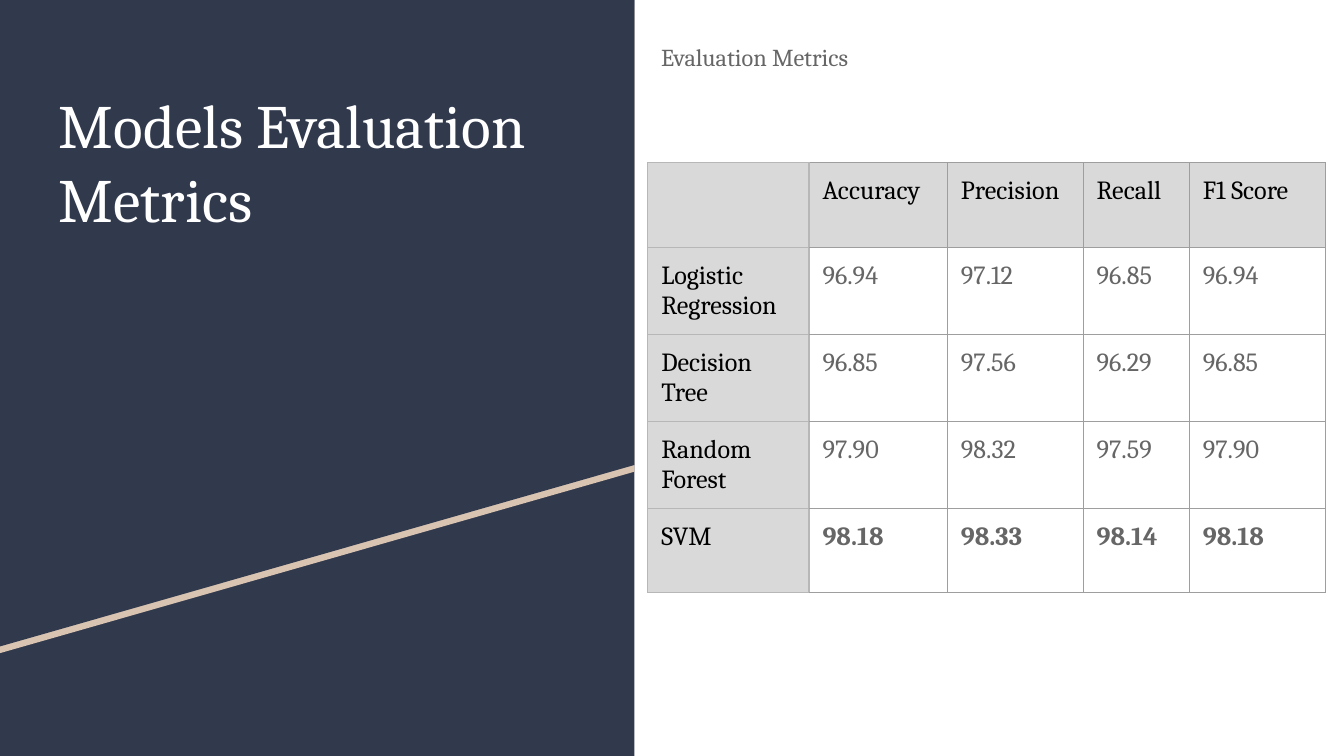
import pptx
import pptx.dml.color
import pptx.enum.shapes
import pptx.oxml
import pptx.oxml.ns
import pptx.util
from pptx.util import Inches

NAVY, SAND, WHITE, BLACK = "31394D", "D9C4B1", "FFFFFF", "000000"
GREY, HEADER_FILL = "666666", "D9D9D9"
GRID, HEADER_GRID = "9E9E9E", "B7B7B7"
WIDTH = 10
HEIGHT = WIDTH * 9 / 16


def color(value):
    return pptx.dml.color.RGBColor.from_string(value)


def write(frame, text, *, size, ink, font="Cambria", bold=False, spacing=1.0):
    """Fill a text frame, one paragraph per line of text."""
    frame.word_wrap = True
    for index, line in enumerate(text.split("\n")):
        para = frame.add_paragraph() if index else frame.paragraphs[0]
        para.line_spacing = spacing
        span = para.add_run()
        span.text = line
        span.font.size = pptx.util.Pt(size)
        span.font.name = font
        span.font.bold = bold
        span.font.color.rgb = color(ink)


class Painter:
    margin = Inches(0.1)
    border = pptx.util.Pt(0.75)

    def __init__(self, page):
        self.page = page

    def paint(self, shape, fill):
        shape.shadow.inherit = False
        shape.fill.solid()
        shape.fill.fore_color.rgb = color(fill)
        shape.line.fill.background()

    def polygon(self, points, fill):
        corners = [(Inches(x), Inches(y)) for x, y in points]
        builder = self.page.shapes.build_freeform(*corners[0], scale=1.0)
        builder.add_line_segments(corners[1:], close=True)
        self.paint(builder.convert_to_shape(), fill)

    def rectangle(self, left, top, width, height, fill):
        shape = self.page.shapes.add_shape(
            pptx.enum.shapes.MSO_SHAPE.RECTANGLE,
            Inches(left), Inches(top), Inches(width), Inches(height))
        self.paint(shape, fill)

    def text(self, left, top, width, height, text, **style):
        box = self.page.shapes.add_textbox(
            Inches(left), Inches(top), Inches(width), Inches(height))
        self.inset(box.text_frame)
        write(box.text_frame, text, **style)

    def inset(self, target):
        for side in ("left", "top", "right", "bottom"):
            setattr(target, f"margin_{side}", self.margin)

    def outline(self, cell, **sides):
        props = cell._tc.get_or_add_tcPr()
        for side in "LRTB":
            props.append(pptx.oxml.parse_xml(
                f'<a:ln{side} {pptx.oxml.ns.nsdecls("a")} w="{self.border}">'
                f'<a:solidFill><a:srgbClr val="{sides[side]}"/></a:solidFill>'
                f'</a:ln{side}>'))

    def table(self, left, top, widths, heights, rows):
        grid = self.page.shapes.add_table(
            len(rows), len(widths), Inches(left), Inches(top),
            Inches(sum(widths)), Inches(sum(heights))).table
        for column, width in zip(grid.columns, widths):
            column.width = Inches(width)
        for row, height in zip(grid.rows, heights):
            row.height = Inches(height)
        for r, values in enumerate(rows):
            for c, value in enumerate(values):
                cell = grid.cell(r, c)
                header = r == 0 or c == 0
                self.inset(cell)
                if "\n" in value:
                    # Two-line names need a tighter foot to keep rows even
                    cell.margin_bottom = Inches(0.08)
                edge = HEADER_GRID if c == 0 else GRID
                self.outline(cell, L=HEADER_GRID if c < 2 else GRID,
                             R=edge, T=edge, B=edge)
                cell.fill.solid()
                cell.fill.fore_color.rgb = color(
                    HEADER_FILL if header else WHITE)
                if value:
                    # The best model, in the last row, has bold scores
                    write(cell.text_frame, value, size=14,
                          ink=BLACK if header else GREY,
                          bold=not header and r == len(rows) - 1)


def main():
    deck = pptx.Presentation()
    deck.slide_width, deck.slide_height = Inches(WIDTH), Inches(HEIGHT)
    page = deck.slides.add_slide(deck.slide_layouts[6])
    page.background.fill.solid()
    page.background.fill.fore_color.rgb = color(WHITE)
    painter = Painter(page)

    # Left panel with a slanted stripe
    panel = 4.72
    painter.rectangle(0, 0, panel, HEIGHT, NAVY)
    for drop, fill in ((0.05, SAND), (0, NAVY)):
        painter.polygon([(0, drop), (panel, drop), (panel, 3.46 + drop),
                         (0, 4.81 + drop)], fill)

    # Title and caption
    painter.text(0.34, 0.55, 4.19, 2.74, "Models Evaluation Metrics",
                 size=33, ink=WHITE)
    painter.text(4.82, 0.18, 5.05, 5.37, "Evaluation Metrics",
                 size=13, ink=GREY, spacing=1.15)

    # Scores by model
    painter.table(
        4.82, 1.21, [1.2, 1.03, 1.01, 0.79, 1.01],
        [0.63, 0.6, 0.63, 0.63, 0.63],
        [["", "Accuracy", "Precision", "Recall", "F1 Score"],
         ["Logistic\nRegression", "96.94", "97.12", "96.85", "96.94"],
         ["Decision\nTree", "96.85", "97.56", "96.29", "96.85"],
         ["Random\nForest", "97.90", "98.32", "97.59", "97.90"],
         ["SVM", "98.18", "98.33", "98.14", "98.18"]])

    deck.save("out.pptx")


if __name__ == "__main__":
    main()
